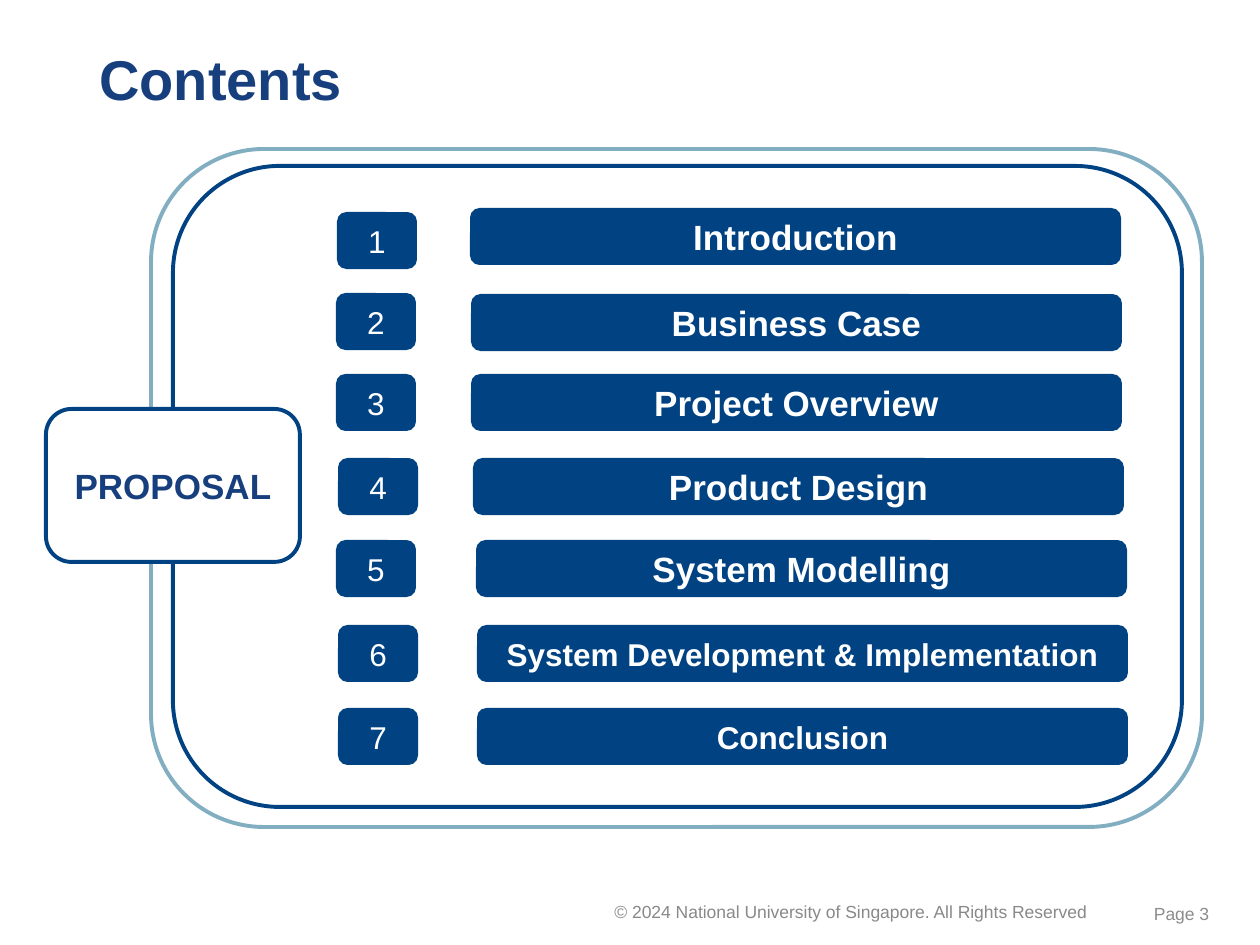
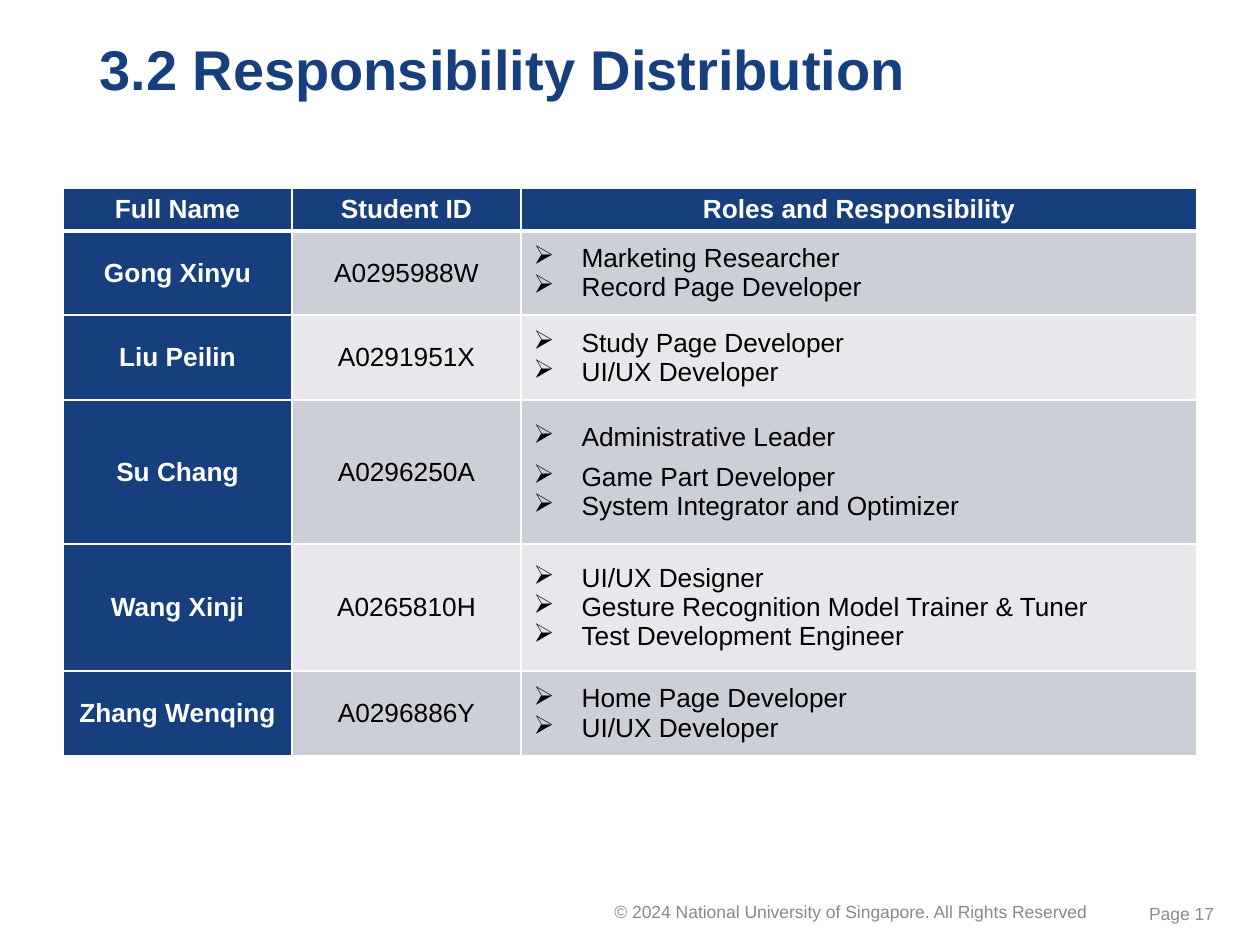
from lxml import etree
from pptx import Presentation
from pptx.dml.color import RGBColor
from pptx.enum import shapes, text
from pptx.oxml import ns
from pptx.util import Emu, Pt

# Content
COPYRIGHT = "© 2024 National University of Singapore. All Rights Reserved"
TOPIC = "PROPOSAL"
# label, size, number left, bar left, number top, bar top
CHAPTERS = [
    ("Introduction", 20, 337, 470, 212, 208),
    ("Business Case", 20, 336, 471, 293, 294),
    ("Project Overview", 20, 336, 471, 374, 374),
    ("Product Design", 20, 338, 473, 458, 458),
    ("System Modelling", 20, 336, 476, 540, 540),
    ("System Development & Implementation", 18, 338, 477, 625, 625),
    ("Conclusion", 18, 338, 477, 708, 708),
]
HEADER = ["Full Name", "Student ID", "Roles and Responsibility"]
# name, id, row height, roles
MEMBERS = [
    ("Gong Xinyu", "A0295988W", 84,
     ["Marketing Researcher", "Record Page Developer"]),
    ("Liu Peilin", "A0291951X", 85,
     ["Study Page Developer", "UI/UX Developer"]),
    ("Su Chang", "A0296250A", 144,
     ["Administrative Leader", "Game Part Developer",
      "System Integrator and Optimizer"]),
    ("Wang Xinji", "A0265810H", 127,
     ["UI/UX Designer", "Gesture Recognition Model Trainer & Tuner",
      "Test Development Engineer"]),
    ("Zhang Wenqing", "A0296886Y", 85,
     ["Home Page Developer", "UI/UX Developer"]),
]
SPACED_ROLES = {"Game Part Developer": 6}
COLUMNS = [229, 229, 676]
HEADER_HEIGHT = 43

# Shared style
FONT = "Arial"
COLORS = {
    "title": "173F7E", "bar": "004282", "halo": "82AEC2", "white": "FFFFFF",
    "black": "000000", "copyright": "898989", "page": "8C8C8C",
    "odd": "CCCFD8", "even": "E8E8EC",
}
LEFT, CENTER = text.PP_ALIGN.LEFT, text.PP_ALIGN.CENTER
JUSTIFY = text.PP_ALIGN.JUSTIFY
TOP, MIDDLE = text.MSO_ANCHOR.TOP, text.MSO_ANCHOR.MIDDLE


def px(n):
    return Emu(round(n * 914400 / 126))


def rgb(name):
    return RGBColor.from_string(COLORS[name])


def write(p, words, size=15, color="black", bold=False, align=CENTER):
    p.alignment = align
    r = p.add_run()
    r.text = words
    r.font.name, r.font.size, r.font.bold = FONT, Pt(size), bold
    r.font.color.rgb = rgb(color)


def add_label(slide, box, words, anchor=MIDDLE, **style):
    tf = slide.shapes.add_textbox(*map(px, box)).text_frame
    tf.word_wrap = True
    tf.vertical_anchor = anchor
    write(tf.paragraphs[0], words, **style)
    return tf


def add_round(slide, box, fill=None, line=None, words=None, **style):
    sp = slide.shapes.add_shape(
        shapes.MSO_SHAPE.ROUNDED_RECTANGLE, *map(px, box))
    sp.shadow.inherit = False
    if fill:
        sp.fill.solid()
        sp.fill.fore_color.rgb = rgb(fill)
    else:
        sp.fill.background()
    if line:
        sp.line.color.rgb = rgb(line)
        sp.line.width = Pt(2.25)
    else:
        sp.line.fill.background()
    if words:
        tf = sp.text_frame
        tf.word_wrap = True
        tf.vertical_anchor = MIDDLE
        write(tf.paragraphs[0], words, **style)


def new_slide(prs, title, title_top, page):
    slide = prs.slides.add_slide(prs.slide_layouts[6])
    add_label(slide, (602, 895, 512, 37), COPYRIGHT, anchor=TOP,
              size=10, color="copyright", align=LEFT)
    tf = add_label(slide, (87, title_top, 910, 76), title,
                   size=32, color="title", bold=True, align=LEFT)
    tf.paragraphs[0].line_spacing = 0.9
    add_label(slide, (1109, 895, 145, 37), f"Page {page}",
              size=10, color="page")
    return slide


def set_bullet(p):
    pPr = p._p.get_or_add_pPr()
    pPr.set("marL", str(px(48)))
    pPr.set("indent", str(-px(48)))
    etree.SubElement(pPr, ns.qn("a:buChar")).set("char", "➢")


def set_borders(cell, top, bottom):
    tcPr = cell._tc.get_or_add_tcPr()
    for i, (side, width) in enumerate(
            [("L", 1), ("R", 1), ("T", top), ("B", bottom)]):
        ln = etree.Element(ns.qn(f"a:ln{side}"), w=str(Pt(width)))
        fill = etree.SubElement(ln, ns.qn("a:solidFill"))
        etree.SubElement(fill, ns.qn("a:srgbClr")).set("val", COLORS["white"])
        tcPr.insert(i, ln)


def style_cell(cell, fill, row):
    cell.fill.solid()
    cell.fill.fore_color.rgb = rgb(fill)
    cell.vertical_anchor = MIDDLE
    cell.margin_top = cell.margin_bottom = 0
    set_borders(cell, top=3 if row == 1 else 1, bottom=3 if row == 0 else 1)
    return cell.text_frame


def build_contents(prs):
    slide = new_slide(prs, "Contents", 44, 3)
    # Double frame and topic box
    add_round(slide, (173, 166, 1009, 641), line="bar")
    add_round(slide, (151, 149, 1051, 678), line="halo")
    add_round(slide, (46, 409, 254, 153), "white", "bar", TOPIC,
              size=20, color="title", bold=True)
    # Numbered chapters
    for n, (name, size, num_x, bar_x, num_y, bar_y) in enumerate(CHAPTERS, 1):
        add_round(slide, (num_x, num_y, 80, 57), "bar", words=str(n),
                  size=18, color="white")
        add_round(slide, (bar_x, bar_y, 651, 57), "bar", words=name,
                  size=size, color="white", bold=True)


def build_responsibilities(prs):
    slide = new_slide(prs, "3.2 Responsibility Distribution", 34, 17)
    heights = [HEADER_HEIGHT] + [member[2] for member in MEMBERS]
    table = slide.shapes.add_table(
        len(heights), len(COLUMNS), px(63), px(188),
        px(sum(COLUMNS)), px(sum(heights))).table
    table.horz_banding = False
    for column, width in zip(table.columns, COLUMNS):
        column.width = px(width)
    for row, height in zip(table.rows, heights):
        row.height = px(height)
    # Header row
    for c, words in enumerate(HEADER):
        tf = style_cell(table.cell(0, c), "title", 0)
        write(tf.paragraphs[0], words, color="white", bold=True)
    # One row per member
    for row, (name, student_id, _, roles) in enumerate(MEMBERS, 1):
        band = "odd" if row % 2 else "even"
        tf = style_cell(table.cell(row, 0), "title", row)
        write(tf.paragraphs[0], name, color="white", bold=True)
        tf = style_cell(table.cell(row, 1), band, row)
        write(tf.paragraphs[0], student_id)
        tf = style_cell(table.cell(row, 2), band, row)
        for i, role in enumerate(roles):
            p = tf.add_paragraph() if i else tf.paragraphs[0]
            set_bullet(p)
            p.space_before = Pt(SPACED_ROLES.get(role, 0))
            write(p, role, align=JUSTIFY)


def main():
    prs = Presentation()
    prs.slide_width, prs.slide_height = px(1260), px(945)
    build_contents(prs)
    build_responsibilities(prs)
    prs.save("out.pptx")


if __name__ == "__main__":
    main()
